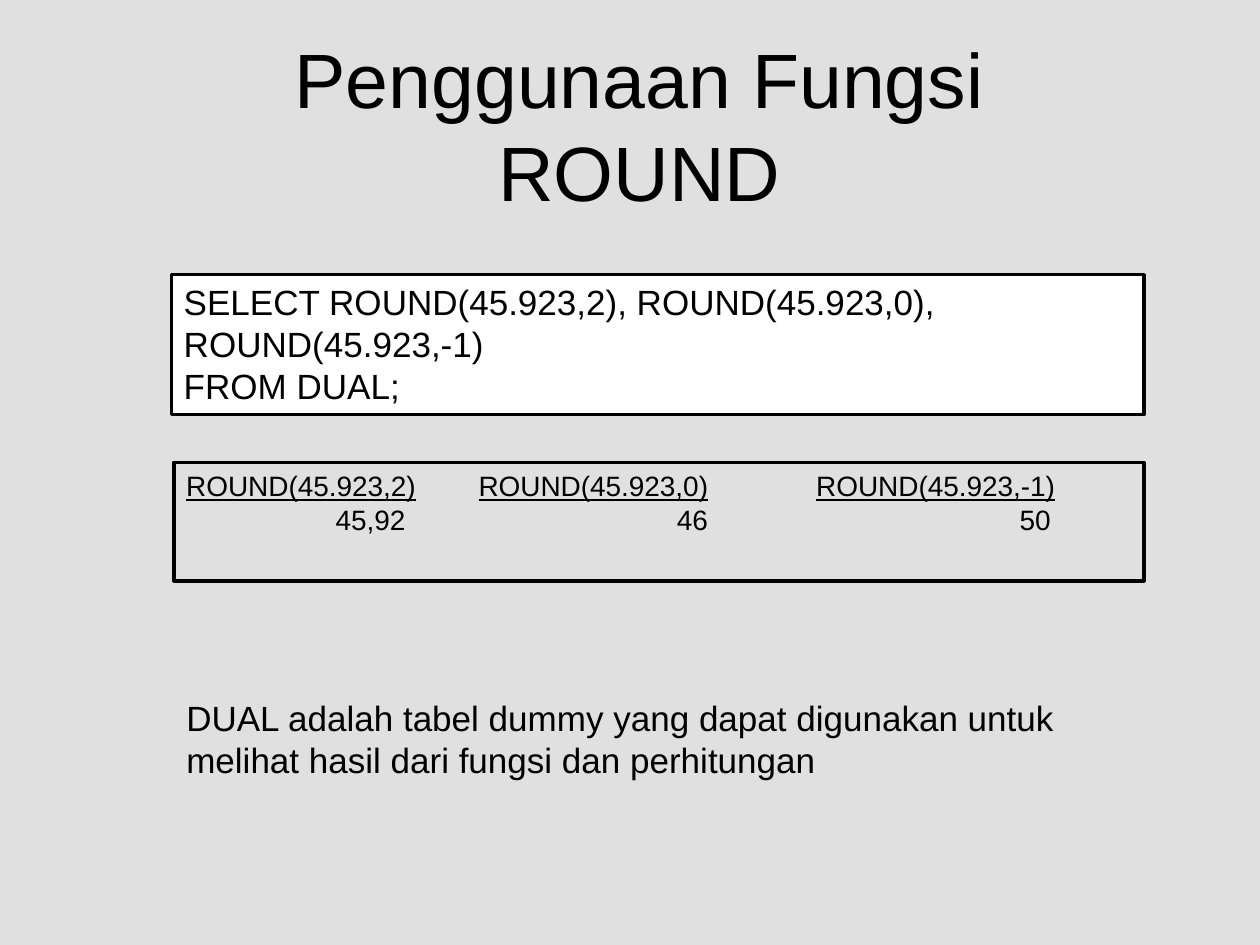
from dataclasses import dataclass

from lxml import etree
from pptx import Presentation
from pptx.dml.color import RGBColor
from pptx.enum import shapes, text
from pptx.oxml import ns
from pptx.util import Inches, Pt


@dataclass(frozen=True)
class Theme:
    font: str = "Arial"
    ink: RGBColor = RGBColor(0, 0, 0)
    paper: RGBColor = RGBColor(255, 255, 255)
    background: RGBColor = RGBColor(0xE0, 0xE0, 0xE0)
    title: int = 44
    body: int = 20
    result: int = 16
    border: int = 2


THEME = Theme()


def write(frame, lines, size, align=text.PP_ALIGN.LEFT, anchor=text.MSO_ANCHOR.TOP):
    frame.text = "\n".join(lines)
    frame.word_wrap = True
    frame.auto_size = text.MSO_AUTO_SIZE.NONE
    frame.vertical_anchor = anchor
    for para in frame.paragraphs:
        para.alignment = align
        for span in para.runs:
            span.font.name = THEME.font
            span.font.size = Pt(size)
            span.font.color.rgb = THEME.ink


def place_title(page, wording, left, top, width, height):
    title = page.shapes.title
    title.left, title.top = Inches(left), Inches(top)
    title.width, title.height = Inches(width), Inches(height)
    write(title.text_frame, [wording], THEME.title,
          text.PP_ALIGN.CENTER, text.MSO_ANCHOR.MIDDLE)


def add_panel(page, lines, size, left, top, width, height, fill=None):
    panel = page.shapes.add_shape(
        shapes.MSO_SHAPE.RECTANGLE,
        Inches(left), Inches(top), Inches(width), Inches(height))
    panel.shadow.inherit = False
    if fill is None:
        panel.fill.background()
    else:
        panel.fill.solid()
        panel.fill.fore_color.rgb = fill
    panel.line.color.rgb = THEME.ink
    panel.line.width = Pt(THEME.border)
    write(panel.text_frame, lines, size)
    return panel


def add_note(page, wording, left, top, width, height):
    note = page.shapes.add_textbox(
        Inches(left), Inches(top), Inches(width), Inches(height))
    write(note.text_frame, [wording], THEME.body)


def set_tabs(para, positions, align):
    properties = para._p.get_or_add_pPr()
    stops = etree.SubElement(properties, ns.qn("a:tabLst"))
    for position in positions:
        etree.SubElement(stops, ns.qn("a:tab"), pos=str(Inches(position)), algn=align)


def main():
    deck = Presentation()
    deck.slide_width, deck.slide_height = Inches(10), Inches(7.5)
    page = deck.slides.add_slide(deck.slide_layouts[5])
    page.background.fill.solid()
    page.background.fill.fore_color.rgb = THEME.background

    place_title(page, "Penggunaan Fungsi ROUND", 1.42, 0.6, 7.31, 0.77)
    query = ["SELECT ROUND(45.923,2), ROUND(45.923,0),", "ROUND(45.923,-1)", "FROM DUAL;"]
    add_panel(page, query, THEME.body, 1.36, 2.18, 7.72, 1.11, THEME.paper)

    headings = ["ROUND(45.923,2)", "ROUND(45.923,0)", "ROUND(45.923,-1)"]
    values = ["", "45,92", "46", "50"]
    result = add_panel(page, ["\t".join(headings), "\t".join(values)],
                       THEME.result, 1.38, 3.67, 7.7, 0.94)
    heading_row, value_row = result.text_frame.paragraphs
    set_tabs(heading_row, [2.32, 5], "l")
    set_tabs(value_row, [1.74, 4.14, 6.86], "r")
    for span in heading_row.runs:
        span.font.underline = True

    add_note(page, "DUAL adalah tabel dummy yang dapat digunakan untuk "
             "melihat hasil dari fungsi dan perhitungan", 1.38, 5.48, 7.95, 0.77)
    deck.save("out.pptx")


if __name__ == "__main__":
    main()
